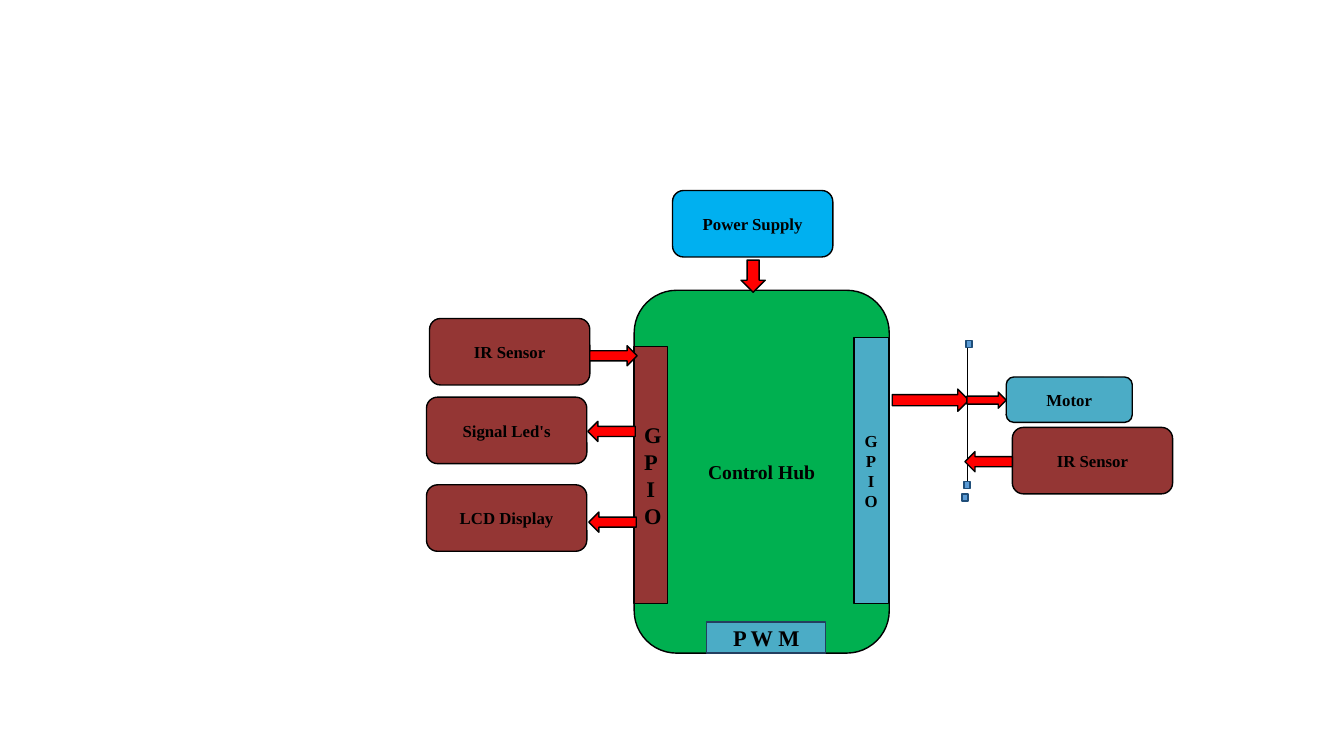
from pptx import Presentation
from pptx.dml.color import RGBColor
from pptx.enum import shapes, text
from pptx.oxml.ns import qn
from pptx.util import Inches, Pt

BLACK = RGBColor(0x00, 0x00, 0x00)
RED = RGBColor(0xFF, 0x00, 0x00)
GREEN = RGBColor(0x00, 0xB0, 0x50)
MAROON = RGBColor(0x94, 0x36, 0x34)
TEAL = RGBColor(0x4B, 0xAC, 0xC6)
SKY = RGBColor(0x00, 0xB0, 0xF0)
NAVY = RGBColor(0x24, 0x3F, 0x60)
HANDLE_FILL = RGBColor(0x5B, 0x9B, 0xD5)
HANDLE_LINE = RGBColor(0x1F, 0x4E, 0x79)

FONT = "Times New Roman"
KIND = shapes.MSO_SHAPE
BLOCK = (1.59, 0.66)
ARROW = (0.47, 0.2)


def add_block(page, kind, box, fill, label="", size=12, outline=BLACK):
    """Add a filled, outlined shape with an optional bold label."""
    block = page.shapes.add_shape(kind, *map(Inches, box))
    block.shadow.inherit = False
    block.fill.solid()
    block.fill.fore_color.rgb = fill
    block.line.color.rgb = outline
    block.line.width = Pt(1)
    if label:
        frame = block.text_frame
        frame.word_wrap = True
        frame.vertical_anchor = text.MSO_ANCHOR.MIDDLE
        para = frame.paragraphs[0]
        para.alignment = text.PP_ALIGN.CENTER
        span = para.add_run()
        span.text = label
        span.font.name = FONT
        span.font.size = Pt(size)
        span.font.bold = True
        span.font.color.rgb = BLACK
    return block


def add_arrow(page, box, kind=KIND.RIGHT_ARROW, turn=0):
    """Add a red block arrow, turned by the given degrees."""
    arrow = add_block(page, kind, box, RED)
    arrow.rotation = turn


def add_bus(page, left, top):
    """Draw the thin bus line with its handles, the motor and the IR sensor."""
    line = page.shapes.add_connector(
        shapes.MSO_CONNECTOR.STRAIGHT, Inches(left), Inches(top),
        Inches(left), Inches(top + 1.37))
    line.line.color.rgb = BLACK
    line.line.width = Pt(0.5)
    properties = line._element.spPr
    properties.append(properties.makeelement(qn("a:effectLst"), {}))

    add_arrow(page, (left - 0.74, top + 0.45, 0.76, 0.22))
    for across, down in ((-0.03, 1.37), (-0.01, -0.03), (-0.05, 1.49)):
        add_block(page, KIND.RECTANGLE, (left + across, top + down, 0.06, 0.07),
                  HANDLE_FILL, outline=HANDLE_LINE)
    add_arrow(page, (left, top + 0.48, 0.39, 0.16))
    add_block(page, KIND.ROUNDED_RECTANGLE,
              (left + 0.39, top + 0.33, 1.25, 0.45), TEAL, "Motor")
    add_block(page, KIND.ROUNDED_RECTANGLE,
              (left + 0.45, top + 0.83, *BLOCK), MAROON, "IR Sensor")
    add_arrow(page, (left - 0.02, top + 1.07, *ARROW), turn=180)


def add_board(page, left, top, width, height):
    """Draw the controller board with its two GPIO strips and the PWM strip."""
    add_block(page, KIND.ROUNDED_RECTANGLE, (left, top, width, height),
              GREEN, "Control Hub", 14)
    add_block(page, KIND.RECTANGLE, (left, top + 0.56, 0.33, 2.55),
              MAROON, "GPIO", 16)
    add_block(page, KIND.RECTANGLE, (left + width - 0.35, top + 0.47, 0.34, 2.64),
              TEAL, "GPIO", 12)
    add_block(page, KIND.RECTANGLE, (left + 0.72, top + height - 0.31, 1.18, 0.31),
              TEAL, "P W M", 16, NAVY)


def add_peripherals(page, left, top):
    """Draw the left column of devices, each with its arrow to or from the board."""
    devices = (  # label, block offset, arrow offset, arrow turn
        ("IR Sensor", (0.03, 0), (1.62, 0.27), 0),
        ("Signal Led's", (0, 0.78), (1.6, 1.02), 180),
        ("LCD Display", (0, 1.65), (1.61, 1.92), 180),
    )
    for label, (across, down), (arrow_across, arrow_down), turn in devices:
        add_block(page, KIND.ROUNDED_RECTANGLE,
                  (left + across, top + down, *BLOCK), MAROON, label)
        add_arrow(page, (left + arrow_across, top + arrow_down, *ARROW), turn=turn)


def add_supply(page, left, top):
    """Draw the power supply and the arrow down to the board."""
    add_block(page, KIND.ROUNDED_RECTANGLE, (left, top, *BLOCK), SKY, "Power Supply")
    add_arrow(page, (left + 0.68, top + 0.69, 0.24, 0.32), KIND.DOWN_ARROW)


def main():
    """Build the block diagram slide and save it."""
    deck = Presentation()
    deck.slide_width = Inches(13.33)
    deck.slide_height = Inches(7.5)
    page = deck.slides.add_slide(deck.slide_layouts[6])
    add_bus(page, 9.59, 3.41)
    add_board(page, 6.29, 2.88, 2.53, 3.6)
    add_peripherals(page, 4.23, 3.16)
    add_supply(page, 6.67, 1.89)
    deck.save("out.pptx")


main()
